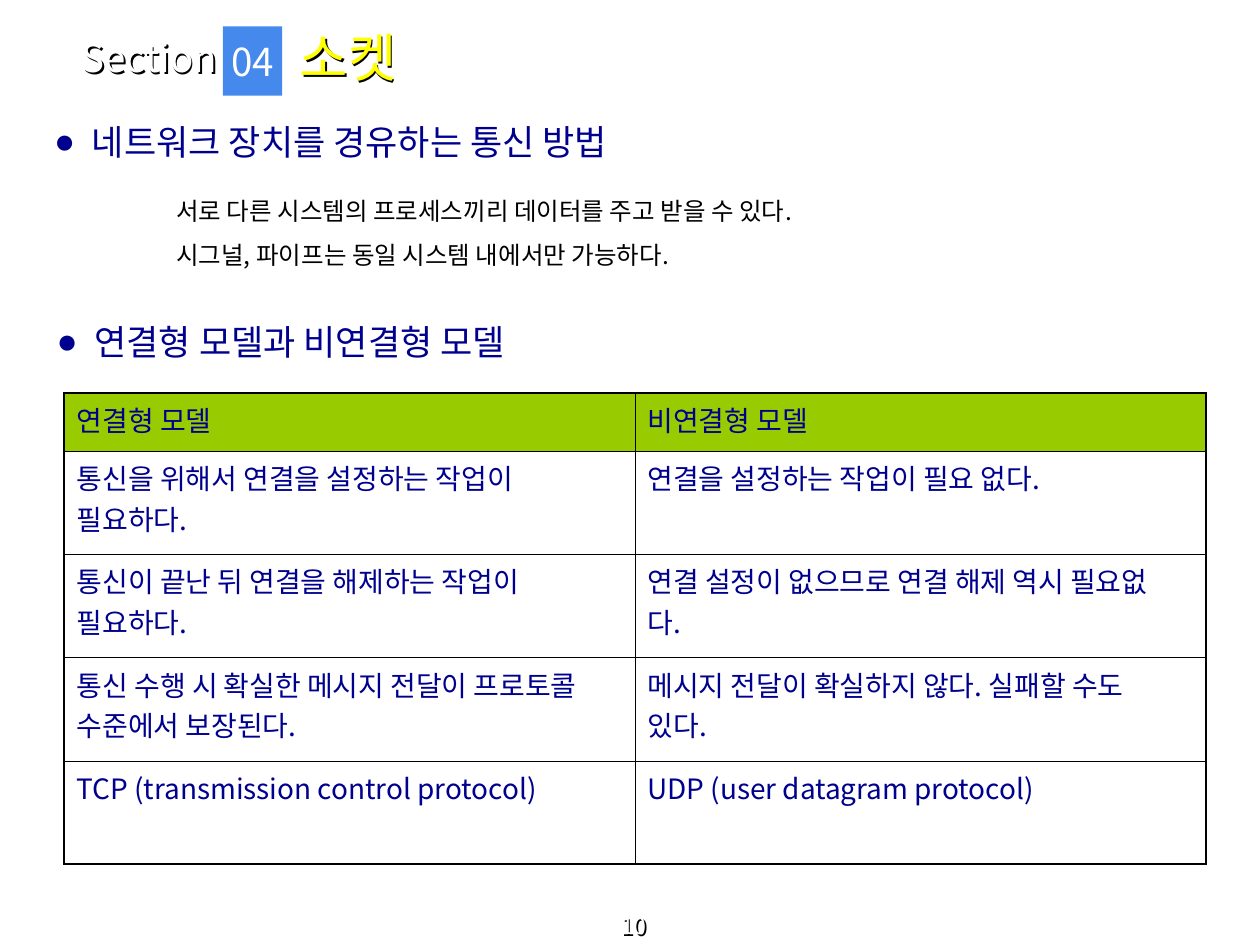
from dataclasses import dataclass

from lxml.etree import SubElement
from pptx import Presentation
from pptx.dml.color import RGBColor as RGB
from pptx.enum.shapes import MSO_SHAPE as Shape
from pptx.enum.text import MSO_ANCHOR as Anchor, MSO_AUTO_SIZE as AutoSize, PP_ALIGN as Align
from pptx.oxml.ns import qn
from pptx.util import Inches, Pt


@dataclass(frozen=True)
class Theme:
    font: str = "Noto Sans CJK KR"
    navy: str = "00008E"
    white: str = "FFFFFF"
    black: str = "000000"
    yellow: str = "FFFF00"
    blue: str = "4589ED"
    green: str = "99CC00"
    title: int = 30
    section: int = 22
    heading: int = 20
    cell: int = 16
    body: int = 14
    page: int = 13
    thick: float = 1.08
    thin: float = 0.45


def write(tf, text, font, size, color, align=Align.LEFT, anchor=Anchor.TOP,
          spacing=1.0, bullet=None, indent=0.3):
    """Fill a text frame, one paragraph per line of text."""
    tf.word_wrap = True
    tf.auto_size = AutoSize.NONE
    tf.vertical_anchor = anchor
    for i, line in enumerate(text.split("\n")):
        p = tf.paragraphs[0] if i == 0 else tf.add_paragraph()
        p.alignment = align
        p.line_spacing = spacing
        p.space_before = Pt(0)
        pPr = p._p.get_or_add_pPr()
        pPr.set("hangingPunct", "0")  # keep full stops inside the margin
        if bullet:
            pPr.set("marL", str(Inches(indent)))
            pPr.set("indent", str(-Inches(indent)))
            SubElement(pPr, qn("a:buChar"), char=bullet)
        r = p.add_run()
        r.text = line
        r.font.name = font
        r.font.size = Pt(size)
        r.font.color.rgb = RGB.from_string(color)
        SubElement(r._r.get_or_add_rPr(), qn("a:ea"), typeface=font)


class SlideBuilder:
    def __init__(self, slide, theme):
        self.slide = slide
        self.theme = theme

    def place(self, sp, box):
        sp.left, sp.top, sp.width, sp.height = map(Inches, box)

    def placeholder(self, idx, box, text, **fmt):
        sp = self.slide.placeholders[idx]
        self.place(sp, box)
        write(sp.text_frame, text, self.theme.font, **fmt)
        return sp

    def text(self, box, text, **fmt):
        sp = self.slide.shapes.add_textbox(*map(Inches, box))
        write(sp.text_frame, text, self.theme.font, **fmt)
        return sp

    def badge(self, box, text, fill, **fmt):
        sp = self.slide.shapes.add_shape(Shape.RECTANGLE, *map(Inches, box))
        sp.shadow.inherit = False
        sp.fill.solid()
        sp.fill.fore_color.rgb = RGB.from_string(fill)
        sp.line.fill.background()
        write(sp.text_frame, text, self.theme.font, **fmt)
        sp.text_frame.word_wrap = False

    def shadow(self, sp):
        """Give the letters of an unfilled box a hard black shadow."""
        sp.shadow.inherit = False
        effects = sp._element.spPr.find(qn("a:effectLst"))
        outer = SubElement(effects, qn("a:outerShdw"), dist=str(Inches(0.02)),
                           dir="2700000", algn="tl", rotWithShape="0")
        SubElement(outer, qn("a:srgbClr"), val=self.theme.black)

    def borders(self, cell, widths):
        tcPr = cell._tc.get_or_add_tcPr()
        for i, (side, width) in enumerate(widths.items()):
            ln = SubElement(tcPr, qn(f"a:ln{side}"), w=str(Pt(width)))
            fill = SubElement(ln, qn("a:solidFill"))
            SubElement(fill, qn("a:srgbClr"), val=self.theme.black)
            tcPr.insert(i, ln)

    def table(self, left, top, col_width, heights, rows):
        t = self.theme
        last_row, last_col = len(rows) - 1, len(rows[0]) - 1
        frame = self.slide.shapes.add_table(
            len(rows), len(rows[0]), Inches(left), Inches(top),
            Inches(col_width * len(rows[0])), Inches(sum(heights)))
        table = frame.table
        for col in table.columns:
            col.width = Inches(col_width)
        for i, row in enumerate(rows):
            table.rows[i].height = Inches(heights[i])
            for j, text in enumerate(row):
                cell = table.cell(i, j)
                write(cell.text_frame, text, t.font, size=t.cell, color=t.navy)
                cell.margin_right = Inches(0.2)
                cell.fill.solid()
                cell.fill.fore_color.rgb = RGB.from_string(t.white if i else t.green)
                edges = {"L": j == 0, "R": j == last_col, "T": i == 0, "B": i == last_row}
                self.borders(cell, {side: t.thick if outer else t.thin
                                    for side, outer in edges.items()})


def main():
    prs = Presentation()
    prs.slide_width, prs.slide_height = Inches(10), Inches(7.5)
    slide = prs.slides.add_slide(prs.slide_layouts[3])
    for ph in list(slide.placeholders):
        if ph.placeholder_format.idx > 2:
            ph._element.getparent().remove(ph._element)
    t = Theme()
    b = SlideBuilder(slide, t)

    # Section label, number and title
    b.shadow(b.text((0.55, 0.27, 1.3, 0.37), "Section", size=t.section,
                    color=t.white, anchor=Anchor.MIDDLE))
    b.badge((1.77, 0.21, 0.47, 0.55), "04", t.blue, size=t.section, color=t.white,
            align=Align.CENTER, anchor=Anchor.MIDDLE)
    b.shadow(b.placeholder(0, (2.28, 0.11, 6.49, 0.68), "소켓", size=t.title,
                           color=t.yellow, anchor=Anchor.MIDDLE))

    # Headings
    heading = dict(size=t.heading, color=t.navy, bullet="●")
    b.placeholder(1, (0.33, 0.91, 9.33, 0.47), "네트워크 장치를 경유하는 통신 방법", **heading)
    b.placeholder(2, (0.35, 2.49, 9.33, 0.47), "연결형 모델과 비연결형 모델", **heading)

    # Explanation
    b.text((1.3, 1.39, 7.8, 0.8),
           "서로 다른 시스템의 프로세스끼리 데이터를 주고 받을 수 있다.\n"
           "시그널, 파이프는 동일 시스템 내에서만 가능하다.",
           size=t.body, color=t.black, spacing=1.5)

    # Comparison of the two models
    b.table(0.51, 3.12, 4.53, [0.46] + [0.82] * 4, [
        ("연결형 모델", "비연결형 모델"),
        ("통신을 위해서 연결을 설정하는 작업이 필요하다.", "연결을 설정하는 작업이 필요 없다."),
        ("통신이 끝난 뒤 연결을 해제하는 작업이 필요하다.",
         "연결 설정이 없으므로 연결 해제 역시 필요없다."),
        ("통신 수행 시 확실한 메시지 전달이 프로토콜 수준에서 보장된다.",
         "메시지 전달이 확실하지 않다. 실패할 수도 있다."),
        ("TCP (transmission control protocol)", "UDP (user datagram protocol)"),
    ])

    # Page number
    b.shadow(b.text((0.03, 7.28, 10, 0.22), "10", size=t.page, color=t.white,
                    align=Align.CENTER, anchor=Anchor.BOTTOM))

    prs.save("out.pptx")


if __name__ == "__main__":
    main()
